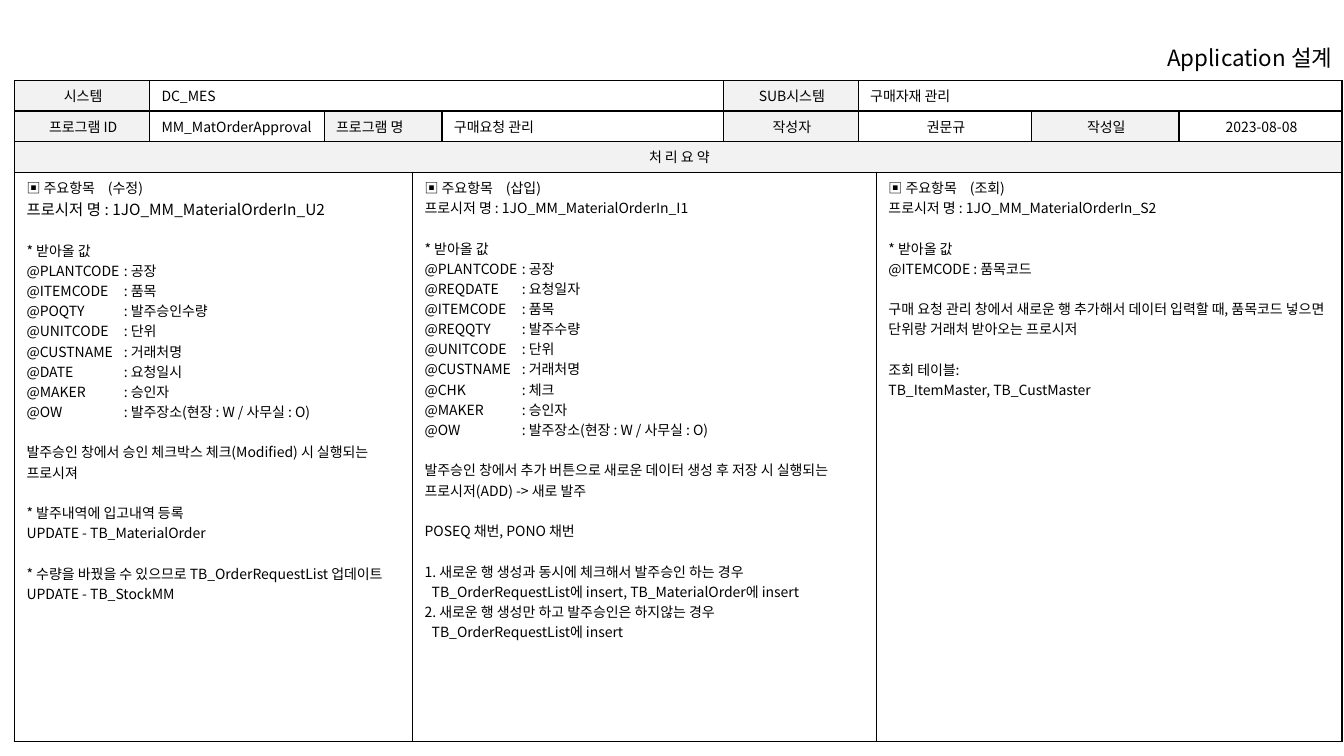
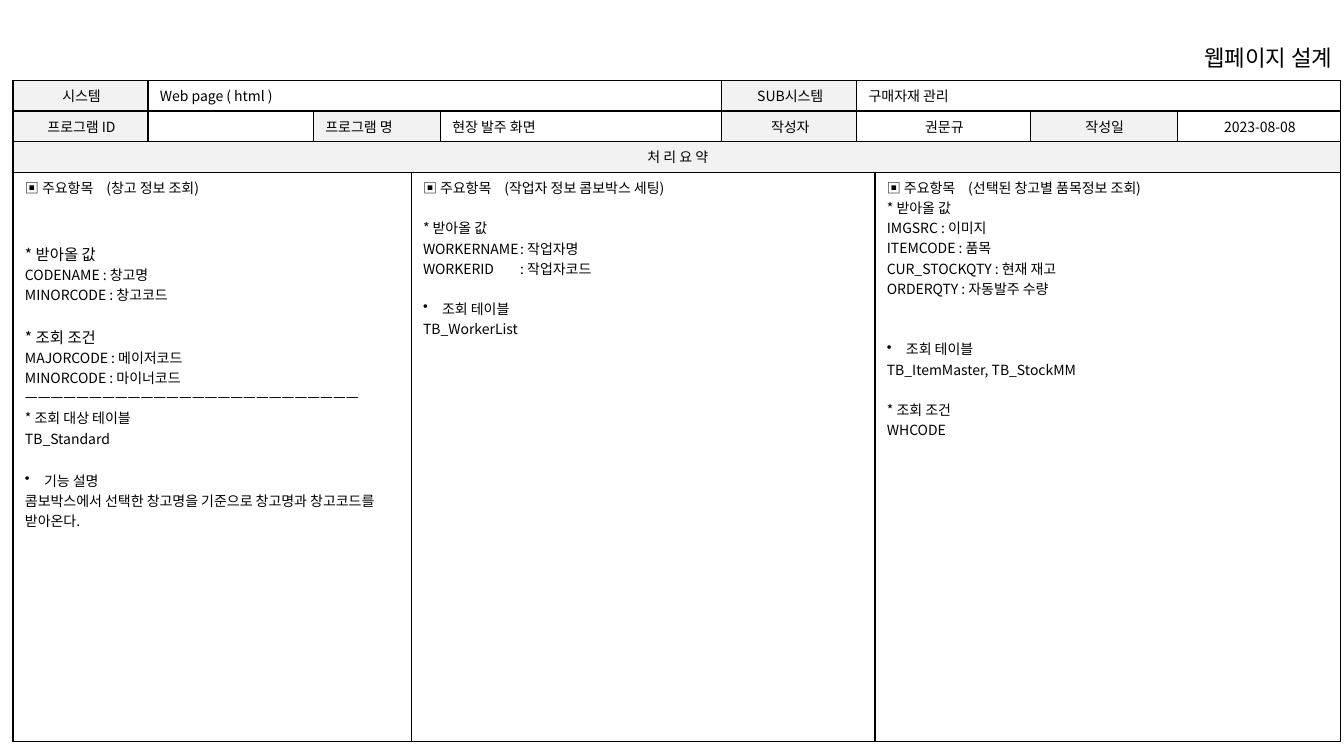
from dataclasses import dataclass

from lxml import etree
from pptx import Presentation
from pptx.dml.color import RGBColor
from pptx.enum import text as t
from pptx.oxml import ns
from pptx.util import Cm, Pt

# Shared style
FONT = "Noto Sans CJK KR"
BLACK = RGBColor(0x00, 0x00, 0x00)
WHITE = RGBColor(0xFF, 0xFF, 0xFF)
LABEL_GREY = RGBColor(0xF2, 0xF2, 0xF2)
BODY_SIZE = 10
LINE_PITCH = 1.45  # line height relative to the text size
BULLET_INDENT = Cm(0.48)
HEADING_TAB = Cm(2.05)
COLON_TAB = Cm(2.45)

# Shared form grid
TABLE_TOP = Cm(2.03)
ROW_HEIGHTS = [0.76, 0.76, 0.76, 14.35]
SUMMARY_SPANS = [(0, 3), (3, 4), (7, 3)]


@dataclass
class Line:
    """One paragraph; gap counts the line heights left free above it."""
    text: str
    gap: int = 0
    size: int = BODY_SIZE
    gap_size: int = BODY_SIZE
    bullet: bool = False
    indent: float = 0


def heading(name):
    return Line(f"▣ 주요항목\t({name})")


def lines(*texts):
    return [Line(item) for item in texts]


def style_run(run, size):
    run.font.size = Pt(size)
    run.font.name = FONT
    run.font.bold = False
    run.font.color.rgb = BLACK
    east_asian = etree.SubElement(run.font._element, ns.qn("a:ea"))
    east_asian.set("typeface", FONT)


def add_title(slide, title):
    shape = slide.shapes.title
    shape.left, shape.top = Cm(26.29), Cm(1.02)
    shape.width, shape.height = Cm(7.54), Cm(0.84)
    frame = shape.text_frame
    frame.text = title
    frame.word_wrap = True
    frame.auto_size = t.MSO_AUTO_SIZE.NONE
    frame.vertical_anchor = t.MSO_ANCHOR.MIDDLE
    paragraph = frame.paragraphs[0]
    paragraph.alignment = t.PP_ALIGN.RIGHT
    style_run(paragraph.runs[0], 16)


def write_paragraph(paragraph, line, alignment):
    paragraph.text = line.text
    paragraph.alignment = alignment
    paragraph.space_before = Pt(round(line.gap * line.gap_size * LINE_PITCH, 1))
    properties = paragraph._p.get_or_add_pPr()
    if line.bullet:
        properties.set("marL", str(BULLET_INDENT))
        properties.set("indent", str(-BULLET_INDENT))
        etree.SubElement(properties, ns.qn("a:buChar")).set("char", "•")
    elif line.indent:
        properties.set("marL", str(Cm(line.indent)))
    if "\t" in line.text:
        stops = etree.SubElement(properties, ns.qn("a:tabLst"))
        stop = etree.SubElement(stops, ns.qn("a:tab"))
        stop.set("pos", str(HEADING_TAB if line.text.startswith("▣") else COLON_TAB))
        stop.set("algn", "l")
    for run in paragraph.runs:
        style_run(run, line.size)
    if not line.text:
        end = etree.SubElement(paragraph._p, ns.qn("a:endParaRPr"))
        end.set("sz", str(line.size * 100))


def format_cell(cell):
    """Black thin borders, white fill and the common margins."""
    properties = cell._tc.get_or_add_tcPr()
    for side in ("lnL", "lnR", "lnT", "lnB"):
        border = etree.SubElement(properties, ns.qn(f"a:{side}"), w=str(Pt(1)))
        fill = etree.SubElement(border, ns.qn("a:solidFill"))
        etree.SubElement(fill, ns.qn("a:srgbClr"), val=str(BLACK))
    cell.fill.solid()
    cell.fill.fore_color.rgb = WHITE
    cell.margin_left, cell.margin_right = Cm(0.3), Cm(0.25)
    cell.margin_top = cell.margin_bottom = Cm(0.13)


def fill_cell(table, row, column, span, content, label=False, centred=False):
    cell = table.cell(row, column)
    if span > 1:
        cell.merge(table.cell(row, column + span - 1))
    if label:
        cell.fill.fore_color.rgb = LABEL_GREY
    frame = cell.text_frame
    for index, line in enumerate(content):
        paragraph = frame.add_paragraph() if index else frame.paragraphs[0]
        write_paragraph(paragraph, line, t.PP_ALIGN.CENTER if centred else t.PP_ALIGN.LEFT)


def add_form(slide, left, split, system, program_id, program_name, summaries):
    """Header form and three summary columns; split sets the ID column widths."""
    widths = [3.4, *split, 0.74, 7.09, 3.4, 0.46, 3.91, 3.71, 4.11]
    frame = slide.shapes.add_table(len(ROW_HEIGHTS), len(widths), Cm(left), TABLE_TOP,
                                   Cm(sum(widths)), Cm(sum(ROW_HEIGHTS)))
    table = frame.table
    table.first_row = table.horz_banding = False
    for column, width in zip(table.columns, widths):
        column.width = Cm(width)
    for row, height in zip(table.rows, ROW_HEIGHTS):
        row.height = Cm(height)
    for cell in table.iter_cells():
        format_cell(cell)

    # row, column, span, text, label, centred
    header = [
        (0, 0, 1, "시스템", True, True),
        (0, 1, 4, system, False, False),
        (0, 5, 1, "SUB시스템", True, True),
        (0, 6, 4, "구매자재 관리", False, False),
        (1, 0, 1, "프로그램 ID", True, True),
        (1, 1, 1, program_id, False, False),
        (1, 2, 2, "프로그램 명", True, False),
        (1, 4, 1, program_name, False, False),
        (1, 5, 1, "작성자", True, True),
        (1, 6, 2, "권문규", False, True),
        (1, 8, 1, "작성일", True, True),
        (1, 9, 1, "2023-08-08", False, True),
        (2, 0, 10, "처 리 요 약", True, True),
    ]
    for row, column, span, content, label, centred in header:
        fill_cell(table, row, column, span, [Line(content)], label, centred)
        table.cell(row, column).vertical_anchor = t.MSO_ANCHOR.MIDDLE
    for (column, span), content in zip(SUMMARY_SPANS, summaries):
        fill_cell(table, 3, column, span, content)


# Content of the application slide
UPDATE_SUMMARY = [
    heading("수정"),
    Line("프로시저 명 : 1JO_MM_MaterialOrderIn_U2", size=11),
    Line("* 받아올 값", gap=1),
    *lines("@PLANTCODE\t: 공장", "@ITEMCODE\t: 품목", "@POQTY\t: 발주승인수량",
           "@UNITCODE\t: 단위", "@CUSTNAME\t: 거래처명", "@DATE\t: 요청일시",
           "@MAKER\t: 승인자", "@OW\t: 발주장소(현장 : W / 사무실 : O)"),
    Line("발주승인 창에서 승인 체크박스 체크(Modified) 시 실행되는 프로시져", gap=1),
    Line("* 발주내역에 입고내역 등록", gap=1),
    Line("UPDATE - TB_MaterialOrder"),
    Line("* 수량을 바꿨을 수 있으므로 TB_OrderRequestList 업데이트", gap=1),
    Line("UPDATE - TB_StockMM"),
]
INSERT_SUMMARY = [
    heading("삽입"),
    Line("프로시저 명 : 1JO_MM_MaterialOrderIn_I1"),
    Line("* 받아올 값", gap=1),
    *lines("@PLANTCODE\t: 공장", "@REQDATE\t: 요청일자", "@ITEMCODE\t: 품목",
           "@REQQTY\t: 발주수량", "@UNITCODE\t: 단위", "@CUSTNAME\t: 거래처명",
           "@CHK\t: 체크", "@MAKER\t: 승인자",
           "@OW\t: 발주장소(현장 : W / 사무실 : O)"),
    Line("발주승인 창에서 추가 버튼으로 새로운 데이터 생성 후 저장 시 실행되는 "
         "프로시저(ADD) -> 새로 발주", gap=1),
    Line("POSEQ 채번, PONO 채번", gap=1),
    Line("1. 새로운 행 생성과 동시에 체크해서 발주승인 하는 경우", gap=1),
    Line("TB_OrderRequestList에 insert, TB_MaterialOrder에 insert", indent=0.18),
    Line("2. 새로운 행 생성만 하고 발주승인은 하지않는 경우"),
    Line("TB_OrderRequestList에 insert", indent=0.18),
]
SELECT_SUMMARY = [
    heading("조회"),
    Line("프로시저 명 : 1JO_MM_MaterialOrderIn_S2"),
    Line("* 받아올 값", gap=1),
    Line("@ITEMCODE : 품목코드"),
    Line("구매 요청 관리 창에서 새로운 행 추가해서 데이터 입력할 때, 품목코드 "
         "넣으면 단위랑 거래처 받아오는 프로시저", gap=1),
    Line("조회 테이블:", gap=1),
    Line("TB_ItemMaster, TB_CustMaster"),
]

# Content of the web page slide
WAREHOUSE_SUMMARY = [
    heading("창고 정보 조회"),
    Line("* 받아올 값", gap=2, size=11, gap_size=11),
    *lines("CODENAME : 창고명", "MINORCODE : 창고코드"),
    Line("* 조회 조건", gap=1, size=11),
    *lines("MAJORCODE : 메이저코드", "MINORCODE : 마이너코드", "ㅡ" * 26,
           "* 조회 대상 테이블", "TB_Standard"),
    Line("기능 설명", gap=1, gap_size=11, bullet=True),
    Line("콤보박스에서 선택한 창고명을 기준으로 창고명과 창고코드를 받아온다."),
]
WORKER_SUMMARY = [
    heading("작업자 정보 콤보박스 세팅"),
    Line("* 받아올 값", gap=1),
    *lines("WORKERNAME\t: 작업자명", "WORKERID\t: 작업자코드"),
    Line("조회 테이블", gap=1, bullet=True),
    Line("TB_WorkerList"),
]
ITEM_SUMMARY = [
    heading("선택된 창고별 품목정보 조회"),
    *lines("* 받아올 값", "IMGSRC : 이미지", "ITEMCODE : 품목",
           "CUR_STOCKQTY : 현재 재고", "ORDERQTY : 자동발주 수량"),
    Line("조회 테이블", gap=2, bullet=True),
    Line("TB_ItemMaster, TB_StockMM"),
    Line("* 조회 조건", gap=1),
    Line("WHCODE"),
]


def add_design_slide(presentation, title, **form):
    slide = presentation.slides.add_slide(presentation.slide_layouts[5])
    add_title(slide, title)
    add_form(slide, **form)


def main():
    presentation = Presentation()
    presentation.slide_width, presentation.slide_height = Cm(33.87), Cm(19.05)
    add_design_slide(
        presentation, "Application 설계", left=0.37, split=(4.4, 2.23),
        system="DC_MES", program_id="MM_MatOrderApproval", program_name="구매요청 관리",
        summaries=[UPDATE_SUMMARY, INSERT_SUMMARY, SELECT_SUMMARY])
    add_design_slide(
        presentation, "웹페이지 설계", left=0.33, split=(4.17, 2.46),
        system="Web page ( html )", program_id="", program_name="현장 발주 화면",
        summaries=[WAREHOUSE_SUMMARY, WORKER_SUMMARY, ITEM_SUMMARY])
    presentation.save("out.pptx")


if __name__ == "__main__":
    main()
